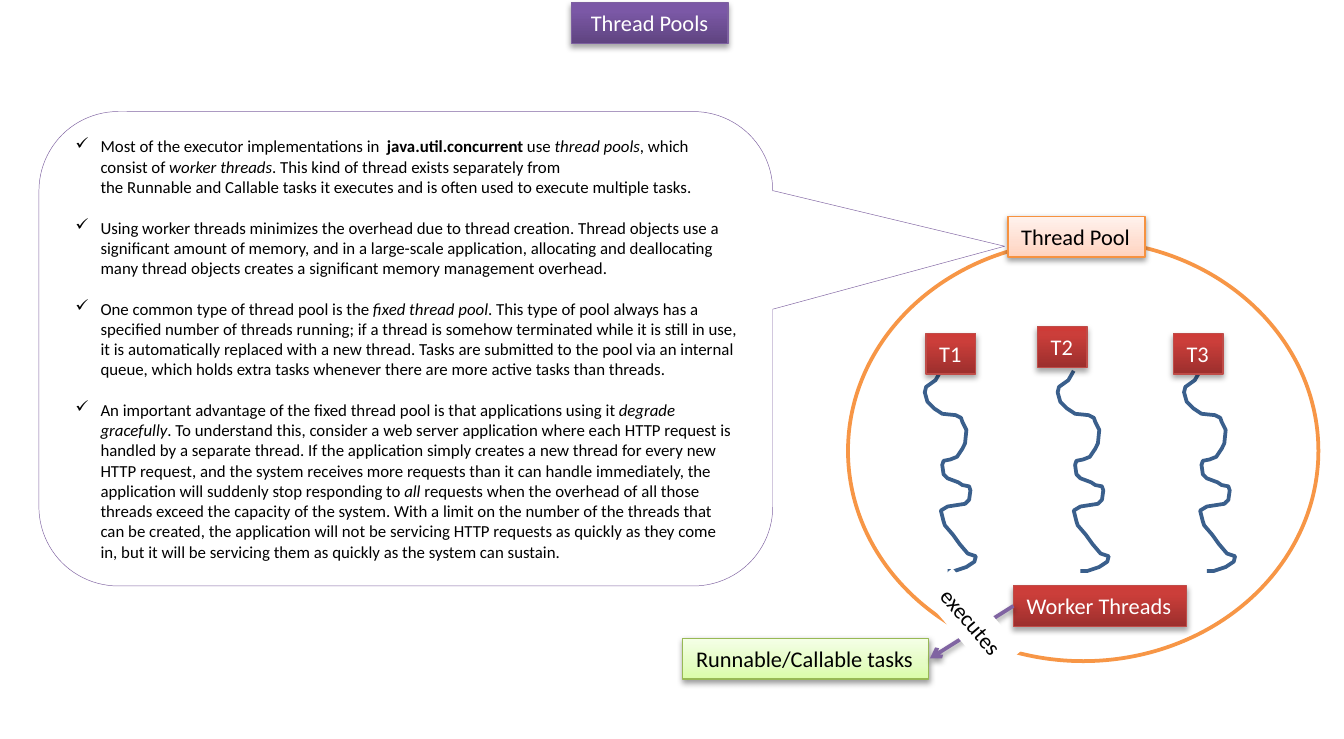
import pptx
import pptx.util
import pptx.dml.color
import pptx.enum.shapes
import pptx.enum.text
import pptx.oxml.ns
from copy import deepcopy
from lxml import etree

Pt = pptx.util.Pt
RGB = pptx.dml.color.RGBColor.from_string
SHAPE = pptx.enum.shapes.MSO_SHAPE
qn = pptx.oxml.ns.qn

# Theme: gradients run from bottom to top as (percent, colour)
DARK_SHADOW, LIGHT_SHADOW = (35, 1.8), (38, 1.6)  # opacity, distance
THEME = {
    "font": "Calibri", "label": 12, "body": 9, "text": "000000", "paper": "FFFFFF",
    "purple": "8064A2", "ring": "F79646", "thread": "3A5F8C",
    "styles": {
        "title": ([(0, "5F4480"), (80, "7B58A6"), (100, "7C57A8")], "7D60A0", "FFFFFF", DARK_SHADOW),
        "worker": ([(0, "9C2F2D"), (80, "CB3E3A"), (100, "CE3B37")], "BF4C48", "FFFFFF", DARK_SHADOW),
        "pool": ([(0, "FFD2BD"), (35, "FFDED0"), (100, "FFF2ED")], "F69240", "000000", LIGHT_SHADOW),
        "task": ([(0, "DAFDA7"), (35, "E4FCC2"), (100, "F5FFE7")], "98B955", "000000", LIGHT_SHADOW),
    },
}

# Content: (text, style, left, top, width)
LABEL_H = 21.8
TITLE = ("Thread Pools", "title", 306, 1.5, 84)
THREADS = [("T1", "worker", 496.1, 178.6, 26.6),
           ("T2", "worker", 555.8, 175, 26.6),
           ("T3", "worker", 628.6, 178.6, 26.6)]
LABELS = [("Thread Pool", "pool", 540, 115.9, 73.4),
          ("Worker Threads", "worker", 542.9, 313.9, 92.9),
          ("Runnable/Callable tasks", "task", 365.8, 342, 131.8)]
RING = (454.3, 128.9, 252, 225.4)
CALLOUT = (20.9, 59.8, 393.1, 254.2)

# Bullets as (text, emphasis) runs; ~ stands for a no-break space
BULLETS = [
    [("Most of the executor implementations in ~", ""), ("java.util.concurrent", "b"),
     ("~use~", ""), ("thread pools", "i"), (", which consist of~", ""), ("worker threads", "i"),
     (".~This kind of thread exists separately from the~Runnable~and~Callable~tasks it executes "
      "and is often used to execute multiple tasks.", "")],
    [("Using worker threads minimizes the overhead due to thread creation. Thread objects use a "
      "significant amount of memory, and in a large-scale application, allocating and deallocating "
      "many thread objects creates a significant memory management overhead.", "")],
    [("One common type of thread pool is the~", ""), ("fixed thread pool", "i"),
     (". This type of pool always has a specified number of threads running; if a thread is somehow "
      "terminated while it is still in use, it is automatically replaced with a new thread. Tasks "
      "are submitted to the pool via an internal queue, which holds extra tasks whenever there are "
      "more active tasks than threads.", "")],
    [("An important advantage of the fixed thread pool is that applications using it~", ""),
     ("degrade gracefully", "i"),
     (". To understand this, consider a web server application where each HTTP request is handled "
      "by a separate thread. If the application simply creates a new thread for every new HTTP "
      "request, and the system receives more requests than it can handle immediately, the "
      "application will suddenly stop responding to~", ""), ("all", "i"),
     ("~requests when the overhead of all those threads exceed the capacity of the system. With a "
      "limit on the number of the threads that can be created, the application will not be "
      "servicing HTTP requests as quickly as they come in, but it will be servicing them as quickly "
      "as the system can sustain.", "")],
]

# Thread outline, in units of 0.72 pt from its top left corner
THREAD_UNIT, THREAD_TOP, THREAD_LEFTS = 0.72, 198.7, (495.4, 566.6, 634.3)
THREAD_PATH = [
    (12, 0), (8, 7), (1, 12), (0, 16), (2, 23), (7, 28), (13, 32), (23, 33), (27, 35), (28, 38),
    (31, 44), (30, 54), (28, 58), (24, 64), (19, 66), (14, 67), (13, 70), (14, 77), (17, 80),
    (25, 83), (28, 85), (33, 86), (34, 89), (33, 96), (30, 99), (17, 101), (12, 104), (14, 112),
    (15, 115), (21, 122), (26, 129), (32, 136), (38, 138), (37, 142), (31, 146), (25, 148),
    (22, 149), (17, 149)]


def add_shadow(sp, opacity, dist):
    pr = sp._element.spPr
    effects = pr.find(qn("a:effectLst"))
    if effects is None:
        effects = etree.SubElement(pr, qn("a:effectLst"))
    shadow = etree.SubElement(effects, qn("a:outerShdw"), blurRad=str(Pt(3.1)),
                              dist=str(Pt(dist)), dir="5400000", rotWithShape="0")
    color = etree.SubElement(shadow, qn("a:srgbClr"), val="000000")
    etree.SubElement(color, qn("a:alpha"), val=str(opacity * 1000))


def add_box(s, kind, box, fill, line=None, width=1):
    sp = s.shapes.add_shape(kind, *map(Pt, box))
    sp.shadow.inherit = False
    sp.fill.solid()
    sp.fill.fore_color.rgb = RGB(fill)
    outline(sp, line, width)
    return sp


def outline(sp, color, width):
    if color is None:
        sp.line.fill.background()
    else:
        sp.line.color.rgb = RGB(color)
        sp.line.width = Pt(width)


def set_font(p, size, color):
    p.font.name, p.font.size = THEME["font"], Pt(size)
    p.font.color.rgb = RGB(color)


def fill_gradient(sp, stops):
    sp.fill.gradient()
    sp.fill.gradient_angle = 90
    gs = sp._element.spPr.find(qn("a:gradFill")).find(qn("a:gsLst"))
    gs.append(deepcopy(gs[-1]))
    for stop, (position, color) in zip(sp.fill.gradient_stops, stops):
        stop.position = position / 100
        stop.color.rgb = RGB(color)


def add_label(s, text, style, left, top, width):
    stops, line, color, shadow = THEME["styles"].get(style, (None, None, THEME["text"], None))
    sp = add_box(s, SHAPE.RECTANGLE, (left, top, width, LABEL_H), THEME["paper"], line, 0.75)
    if stops:
        fill_gradient(sp, stops)
        add_shadow(sp, *shadow)
    tf = sp.text_frame
    tf.word_wrap = style == "title"
    tf.auto_size = pptx.enum.text.MSO_AUTO_SIZE.SHAPE_TO_FIT_TEXT
    tf.vertical_anchor = pptx.enum.text.MSO_ANCHOR.TOP
    p = tf.paragraphs[0]
    p.text = text
    align = pptx.enum.text.PP_ALIGN
    p.alignment = align.CENTER if style == "title" else align.LEFT
    set_font(p, THEME["label"], color)
    return sp


def add_bullets(tf):
    tf.word_wrap = True
    tf.vertical_anchor = pptx.enum.text.MSO_ANCHOR.MIDDLE
    for i, runs in enumerate(BULLETS):
        p = tf.add_paragraph() if i else tf.paragraphs[0]
        p.alignment = pptx.enum.text.PP_ALIGN.LEFT
        if i:
            p.space_before = Pt(11)
        pr = p._p.get_or_add_pPr()
        pr.set("marL", str(Pt(13.5)))
        pr.set("indent", str(-Pt(13.5)))
        etree.SubElement(pr, qn("a:buChar"), char="✓")
        set_font(p, THEME["body"], THEME["text"])
        for text, emphasis in runs:
            r = p.add_run()
            r.text = text.replace("~", chr(160))
            if emphasis == "b":
                r.font.bold = True
            elif emphasis == "i":
                r.font.italic = True


def main():
    prs = pptx.Presentation()
    prs.slide_width, prs.slide_height = Pt(720), Pt(396)
    s = prs.slides.add_slide(prs.slide_layouts[6])

    # Title, pool and its threads
    add_label(s, *TITLE)
    add_box(s, SHAPE.OVAL, RING, THEME["paper"], THEME["ring"], 2)
    for left in THREAD_LEFTS:
        fb = s.shapes.build_freeform(*THREAD_PATH[0], scale=Pt(THREAD_UNIT))
        fb.add_line_segments(THREAD_PATH[1:], close=False)
        sp = fb.convert_to_shape(Pt(left), Pt(THREAD_TOP))
        sp.shadow.inherit = False
        sp.fill.background()
        outline(sp, THEME["thread"], 2)
    for label in THREADS:
        add_label(s, *label)

    # Explanation
    sp = add_box(s, SHAPE.ROUNDED_RECTANGULAR_CALLOUT, CALLOUT, THEME["paper"], THEME["purple"], 0.25)
    for i, value in enumerate((0.816, -0.216, 0.167)):
        sp.adjustments[i] = value
    add_bullets(sp.text_frame)

    # Named parts and the arrow between them
    for label in LABELS:
        add_label(s, *label)
    arrow = s.shapes.add_connector(pptx.enum.shapes.MSO_CONNECTOR.STRAIGHT,
                                   *map(Pt, (542.9, 324.7, 498.2, 352.8)))
    outline(arrow, THEME["purple"], 2)
    etree.SubElement(arrow.line._get_or_add_ln(), qn("a:tailEnd"), type="arrow")
    add_shadow(arrow, *LIGHT_SHADOW)
    add_label(s, "executes", "plain", 491.8, 322.6, 57.6).rotation = 49.6

    prs.save("out.pptx")


if __name__ == "__main__":
    main()
